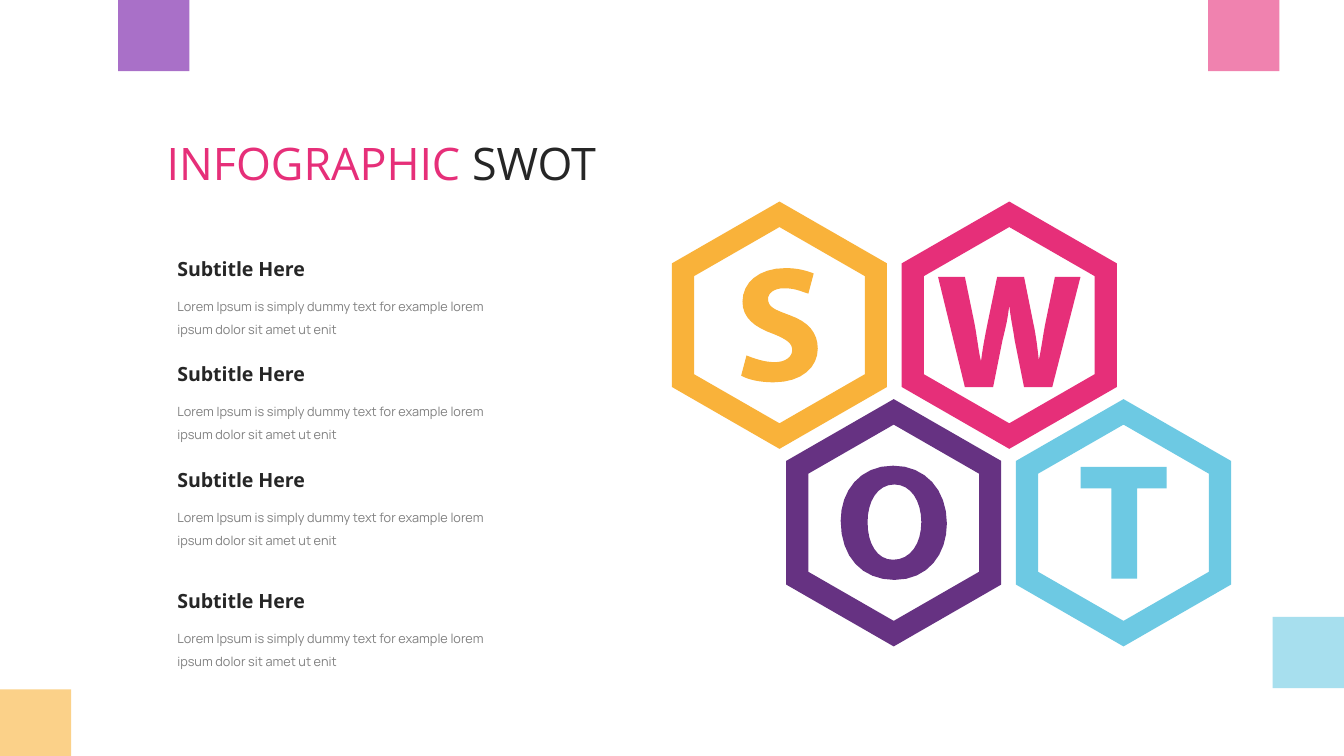
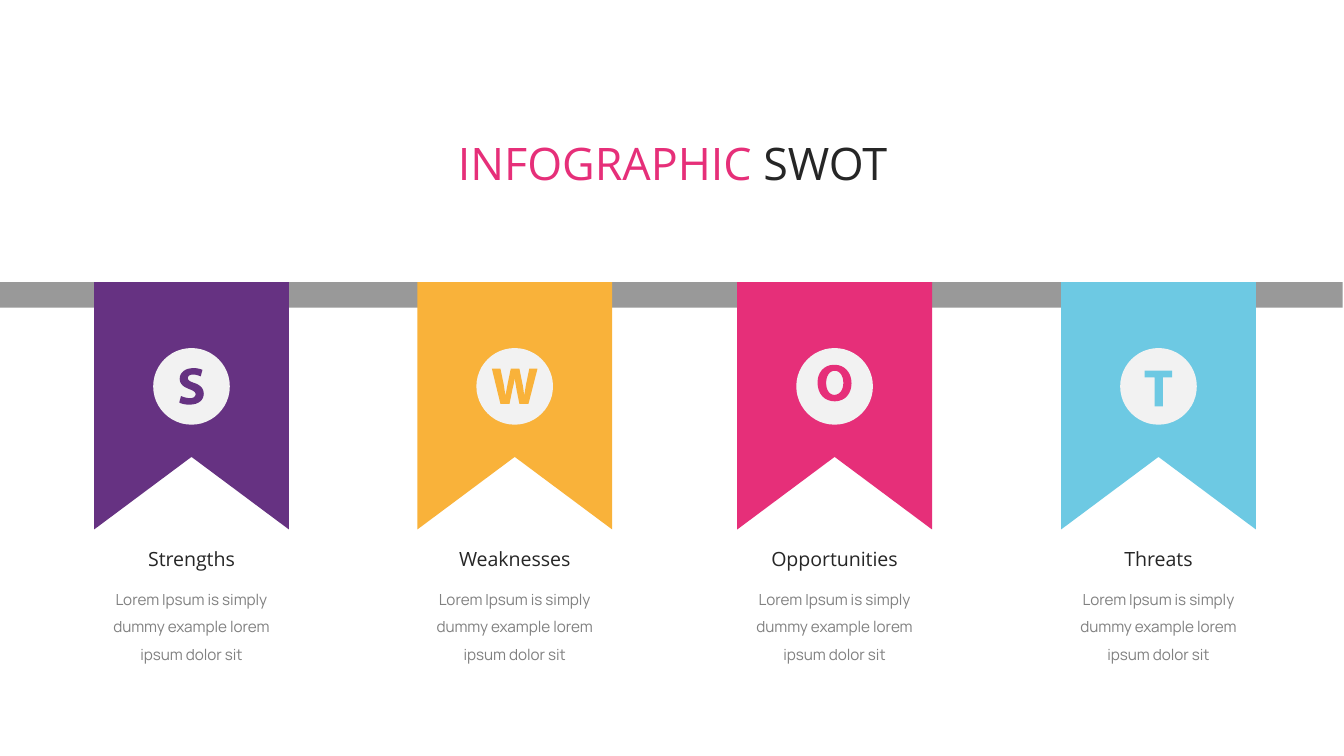
from dataclasses import dataclass

from pptx import Presentation
from pptx.dml.color import RGBColor
from pptx.enum.shapes import MSO_SHAPE as Preset
from pptx.enum.text import MSO_ANCHOR as Anchor, MSO_AUTO_SIZE as AutoSize, PP_ALIGN as Align
from pptx.util import Inches, Pt

COLUMNS, ROWS = 100, 56.25
CELL = Inches(0.1)
TITLE_ONLY = 5


@dataclass(frozen=True)
class Theme:
    purple: str = "663282"
    amber: str = "F9B23A"
    pink: str = "E62F79"
    sky: str = "6DC9E3"
    pale_purple: str = "A970C8"
    pale_amber: str = "FBD189"
    pale_pink: str = "F082AF"
    pale_sky: str = "A7DFEE"
    ink: str = "262626"
    muted: str = "808080"
    rail: str = "999999"
    disc: str = "F2F2F2"
    heading_font: str = "Open Sans"
    body_font: str = "Manrope"
    title_size: float = 24
    heading_size: float = 10.5
    small_size: float = 6.8
    body_size: float = 8.2
    body_spacing: float = 1.5


LETTERS = {
    "S": (5.7, 8.5, [[
        (0.4, 6.5), (0.9, 6.7, 1.7, 7, 2.5, 7), (3.3, 7, 3.8, 6.6, 3.8, 6.1),
        (3.8, 5.6, 3.4, 5.3, 2.4, 4.9), (1, 4.4, 0.1, 3.7, 0.1, 2.5),
        (0.1, 1.1, 1.3, 0, 3.3, 0), (4.2, 0, 4.9, 0.2, 5.4, 0.4), (5, 1.9),
        (4.6, 1.8, 4.1, 1.5, 3.2, 1.5), (2.4, 1.5, 2, 1.9, 2, 2.3),
        (2, 2.9, 2.5, 3.1, 3.6, 3.5), (5, 4, 5.7, 4.8, 5.7, 6),
        (5.7, 7.3, 4.6, 8.5, 2.4, 8.5), (1.4, 8.5, 0.5, 8.3, 0, 8)]]),
    "W": (10.6, 8.2, [[
        (2, 8.2), (0, 0), (2, 0), (2.7, 3.4), (2.9, 4.4, 3, 5.5, 3.2, 6.3),
        (3.3, 5.4, 3.5, 4.4, 3.7, 3.4), (4.4, 0), (6.4, 0), (7.1, 3.5),
        (7.3, 4.4, 7.4, 5.3, 7.5, 6.2), (7.7, 5.3, 7.8, 4.4, 8, 3.4),
        (8.7, 0), (10.6, 0), (8.5, 8.2), (6.4, 8.2), (5.7, 4.7),
        (5.6, 3.9, 5.4, 3.1, 5.3, 2.1), (5.2, 3.1, 5, 3.9, 4.8, 4.7), (4.1, 8.2)]]),
    "O": (7.9, 8.5, [
        [(3.9, 0), (6.3, 0, 7.9, 1.8, 7.9, 4.3), (7.9, 6.6, 6.5, 8.5, 4, 8.5),
         (1.6, 8.5, 0, 6.8, 0, 4.1), (0, 1.9, 1.4, 0, 3.9, 0)],
        [(4, 1.4), (2.7, 1.4, 2, 2.7, 2, 4.2), (2, 5.8, 2.7, 7, 3.9, 7),
         (5.2, 7, 6, 5.8, 6, 4.2), (6, 2.6, 5.2, 1.4, 4, 1.4)]]),
    "T": (6.4, 8.3, [[
        (4.2, 8.3), (2.3, 8.3), (2.3, 1.6), (0, 1.6),
        (0, 0), (6.4, 0), (6.4, 1.6), (4.2, 1.6)]]),
}


def cells(count):
    return round(count * CELL)


def flatten(contour, steps=8):
    points = [contour[0]]
    for segment in contour[1:]:
        if len(segment) == 2:
            points.append(segment)
            continue
        anchors = [points[-1], segment[:2], segment[2:4], segment[4:]]
        for step in range(1, steps + 1):
            t = step / steps
            weights = ((1 - t) ** 3, 3 * t * (1 - t) ** 2, 3 * t ** 2 * (1 - t), t ** 3)
            points.append(tuple(sum(w * anchor[axis] for w, anchor in zip(weights, anchors))
                                for axis in (0, 1)))
    return points


def hexagon(x, y, width, height):
    half, quarter = width / 2, height / 4
    return [(x, y - 2 * quarter), (x + half, y - quarter), (x + half, y + quarter),
            (x, y + 2 * quarter), (x - half, y + quarter), (x - half, y - quarter)]


class Deck:
    def __init__(self, theme):
        self.theme = theme
        self.file = Presentation()
        self.file.slide_width, self.file.slide_height = cells(COLUMNS), cells(ROWS)
        self.slide = None

    def add_slide(self):
        self.slide = self.file.slides.add_slide(self.file.slide_layouts[TITLE_ONLY])

    def paint(self, shape, color):
        shape.shadow.inherit = False
        shape.fill.solid()
        shape.fill.fore_color.rgb = RGBColor.from_string(color)
        shape.line.fill.background()

    def block(self, preset, left, top, width, height, color):
        shape = self.slide.shapes.add_shape(preset, *map(cells, (left, top, width, height)))
        self.paint(shape, color)

    def outline(self, contours, color):
        scaled = [[(cells(x), cells(y)) for x, y in contour] for contour in contours]
        builder = self.slide.shapes.build_freeform(*scaled[0][0], scale=1.0)
        for index, contour in enumerate(scaled):
            if index:
                builder.move_to(*contour[0])
            builder.add_line_segments(contour[1:], close=True)
        self.paint(builder.convert_to_shape(), color)

    def letter(self, name, x, y, color, scale=1):
        width, height, contours = LETTERS[name]
        self.outline([[(x + (px - width / 2) * scale, y + (py - height / 2) * scale)
                       for px, py in flatten(contour)] for contour in contours], color)

    def set_text(self, box, runs, size, font, align, bold=False, spacing=1.0):
        frame = box.text_frame
        frame.word_wrap = True
        frame.auto_size = AutoSize.SHAPE_TO_FIT_TEXT
        frame.vertical_anchor = Anchor.TOP
        frame.margin_left = frame.margin_right = cells(0.9)
        frame.margin_top = frame.margin_bottom = cells(0.4)
        paragraph = frame.paragraphs[0]
        paragraph.alignment = align
        paragraph.line_spacing = spacing
        for words, color in runs:
            run = paragraph.add_run()
            run.text = words
            run.font.size = Pt(size)
            run.font.name = font
            run.font.bold = bold
            run.font.color.rgb = RGBColor.from_string(color)

    def title(self, left, width, align):
        box = self.slide.shapes.title
        box.left, box.top, box.width, box.height = map(cells, (left, 9.7, width, 5))
        runs = [("INFOGRAPHIC", self.theme.pink), (" SWOT", self.theme.ink)]
        self.set_text(box, runs, self.theme.title_size, self.theme.heading_font, align)

    def text_box(self, left, top, width, height):
        return self.slide.shapes.add_textbox(*map(cells, (left, top, width, height)))

    def heading(self, words, left, top, width, align=Align.LEFT, bold=False):
        self.set_text(self.text_box(left, top, width, 2.8), [(words, self.theme.ink)],
                      self.theme.heading_size, self.theme.heading_font, align, bold)

    def body(self, words, left, top, width, height, size, align=Align.LEFT):
        self.set_text(self.text_box(left, top, width, height), [(words, self.theme.muted)],
                      size, self.theme.body_font, align, spacing=self.theme.body_spacing)


def honeycomb_slide(deck):
    theme = deck.theme
    deck.add_slide()
    deck.title(11.5, 38.5, Align.LEFT)

    for name, x, y, drop, color in (("S", 58, 24.2, 0, theme.amber),
                                    ("W", 75.1, 24.2, 0.5, theme.pink),
                                    ("O", 66.5, 38.9, 0, theme.purple),
                                    ("T", 83.6, 38.9, 0, theme.sky)):
        deck.outline([hexagon(x, y, 16, 18.4), hexagon(x, y, 12.7, 14.6)[::-1]], color)
        deck.letter(name, x, y + drop, color)

    for top in (18.7, 26.5, 34.4, 43.4):
        deck.body("Lorem Ipsum is simply dummy text for example lorem ipsum dolor sit amet ut enit",
                  12.3, top + 2.6, 25.7, 4.3, theme.small_size)
        deck.heading("Subtitle Here", 12.3, top, 17.6, bold=True)

    for left, top, color in ((0, 51.3, theme.pale_amber), (89.9, 0, theme.pale_pink),
                             (94.7, 45.9, theme.pale_sky), (8.8, 0, theme.pale_purple)):
        deck.block(Preset.RECTANGLE, left, top, 5.3, 5.3, color)


def banner_slide(deck):
    theme = deck.theme
    deck.add_slide()
    deck.title(28.1, 43.9, Align.CENTER)

    rail_top, banner_half, banner_foot, notch = 21, 7.25, 39.4, 34
    disc_size, disc_center = 5.7, 28.75
    deck.block(Preset.RECTANGLE, 0, rail_top, 99.9, 1.9, theme.rail)

    for label, x, label_width, lift, color in (
            ("Strengths", 14.25, 11.7, 0, theme.purple),
            ("Weaknesses", 38.3, 13.1, 0, theme.amber),
            ("Opportunities", 62.1, 12.7, 0.25, theme.pink),
            ("Threats", 86.2, 7.9, -0.15, theme.sky)):
        left, right = x - banner_half, x + banner_half
        deck.outline([[(right, banner_foot), (x, notch), (left, banner_foot),
                       (left, rail_top), (right, rail_top)]], color)
        deck.block(Preset.OVAL, x - disc_size / 2, disc_center - disc_size / 2,
                   disc_size, disc_size, theme.disc)
        deck.letter(label[0], x, disc_center - lift, color, scale=0.32)
        deck.heading(label, x - label_width / 2, 40.3, label_width, Align.CENTER)
        deck.body("Lorem Ipsum is simply dummy example lorem ipsum dolor sit",
                  x - 7.8, 42.8, 15.6, 7.1, theme.body_size, Align.CENTER)


def main():
    deck = Deck(Theme())
    honeycomb_slide(deck)
    banner_slide(deck)
    deck.file.save("out.pptx")


if __name__ == "__main__":
    main()
